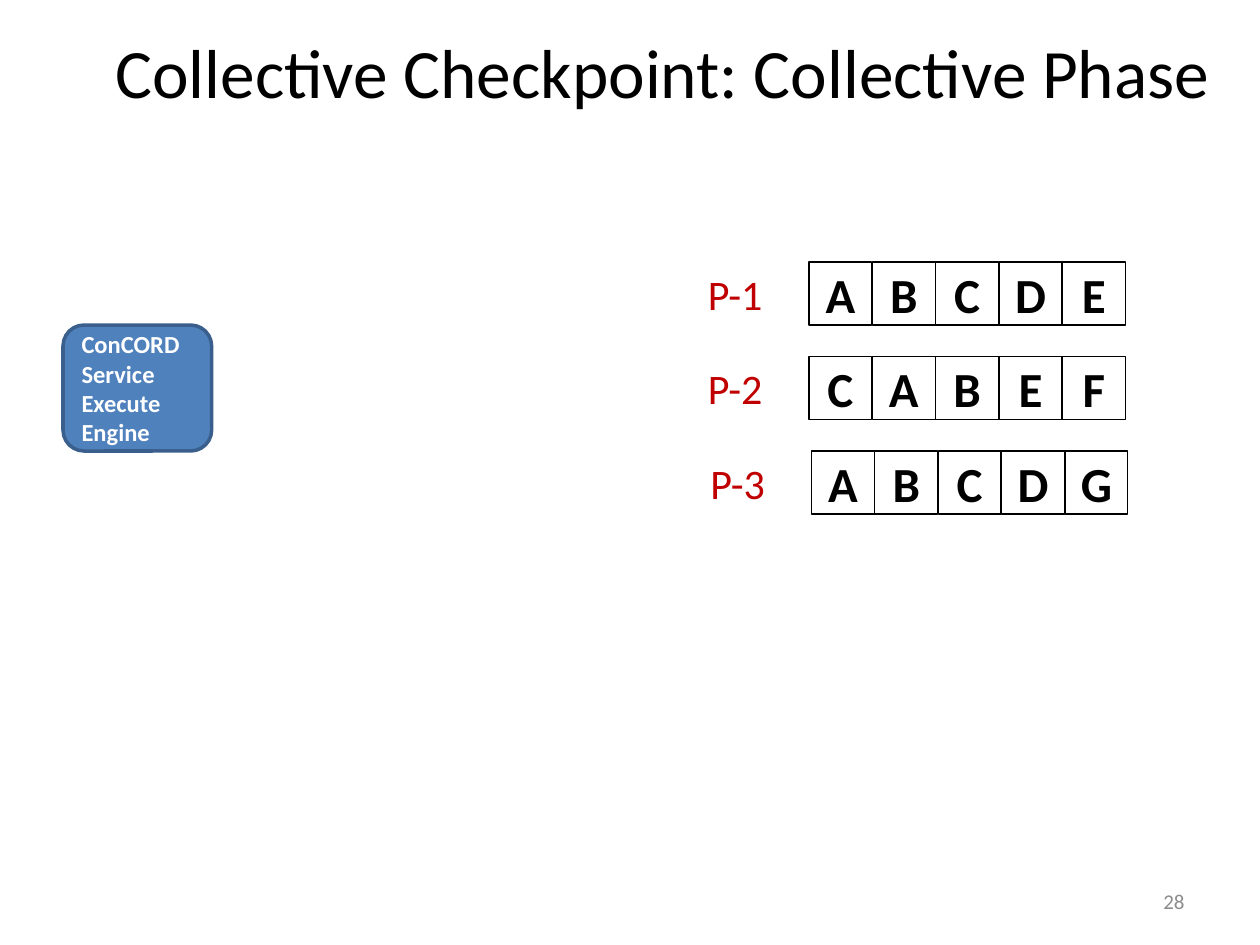
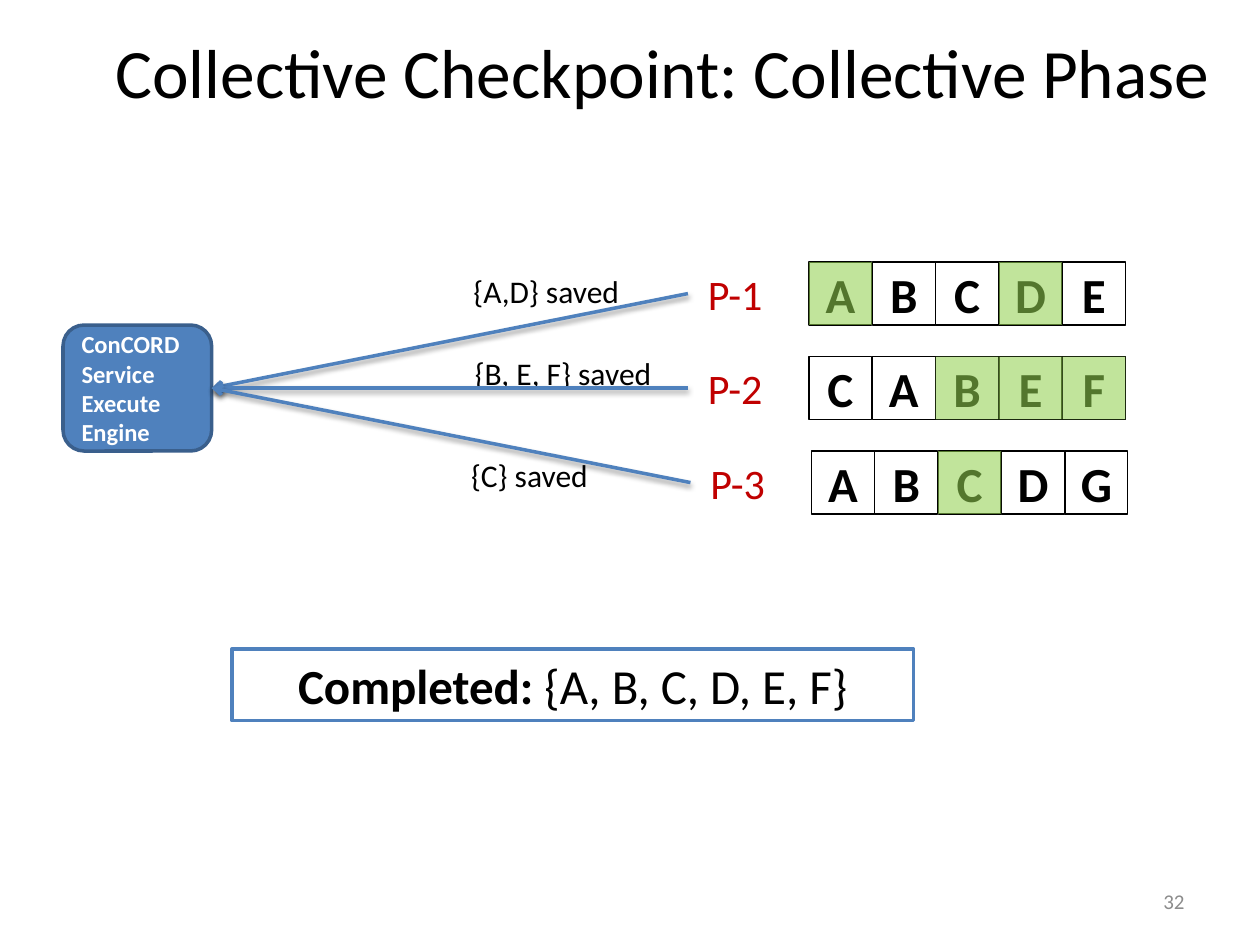
from lxml import etree
from pptx import Presentation, util as u
from pptx.dml.color import RGBColor
from pptx.enum import shapes, text
from pptx.oxml import parse_xml
from pptx.oxml.ns import nsdecls, qn

TITLE = "Collective Checkpoint: Collective Phase"
ENGINE = ["ConCORD", "Service", "Execute", "Engine"]
PROCESSES = [("P-1", "ABCDE", 0), ("P-2", "CABEF", 0), ("P-3", "ABCDG", 0.02)]
SAVED = [
    ("AD", "{A,D} saved", (3.66, 2.11, 1.37, 0.4)),
    ("BEF", "{B, E, F} saved", (3.67, 2.76, 1.62, 0.4)),
    ("C", "{C} saved", (3.64, 3.57, 1.15, 0.4)),
]
COMPLETED = [("Completed: ", True), ("{A, B, C, D, E, F}", False)]
SLIDES = [("28", [], []), ("32", SAVED, COMPLETED)]

FONT = "Calibri"
COLORS = {"black": "000000", "white": "FFFFFF", "grey": "8C8C8C", "red": "C00000",
          "blue": "4F81BD", "edge": "3A5F8C", "green": "92D050"}
CELL, PITCH = 0.5, 0.503
GRID_LEFT, GRID_TOP, ROW_STEP = 6.42, 2.08, 0.75
LABEL_LEFT, LABEL_W, LABEL_H = 5.46, 0.75, 0.33
SHADOW = (f'<a:effectLst {nsdecls("a")}><a:outerShdw blurRad="40000" dist="20000" '
          'dir="5400000" rotWithShape="0"><a:srgbClr val="000000"><a:alpha val="38000"/>'
          '</a:srgbClr></a:outerShdw></a:effectLst>')


def rgb(name):
    return RGBColor.from_string(COLORS[name])


def inches(box):
    return [u.Inches(v) for v in box]


def write(sp, lines, size, color, bold=False, align=text.PP_ALIGN.CENTER,
          anchor=text.MSO_ANCHOR.MIDDLE, wrap=True):
    tf = sp.text_frame
    tf.word_wrap = wrap
    tf.vertical_anchor = anchor
    tf.text = "\n".join(lines)
    for p in tf.paragraphs:
        p.alignment = align
        p.font.name, p.font.size, p.font.bold = FONT, u.Pt(size), bold
        p.font.color.rgb = rgb(color)


def add_box(s, box, fill=None, line=None, width=0.75, rounded=False):
    kind = shapes.MSO_SHAPE.ROUNDED_RECTANGLE if rounded else shapes.MSO_SHAPE.RECTANGLE
    sp = s.shapes.add_shape(kind, *inches(box))
    sp.shadow.inherit = False
    if fill:
        sp.fill.solid()
        sp.fill.fore_color.rgb = rgb(fill)
    else:
        sp.fill.background()
    if line:
        sp.line.color.rgb = rgb(line)
        sp.line.width = u.Pt(width)
    else:
        sp.line.fill.background()
    return sp


def add_arrow(s, engine, label):
    c = s.shapes.add_connector(shapes.MSO_CONNECTOR.STRAIGHT, 0, 0, 0, 0)
    c.begin_connect(engine, 3)
    c.end_connect(label, 1)
    c.line.color.rgb = rgb("blue")
    c.line.width = u.Pt(2)
    etree.SubElement(c.line._get_or_add_ln(), qn("a:headEnd"), type="arrow")
    c._element.spPr.append(parse_xml(SHADOW))


def cell_box(row, column):
    return (GRID_LEFT + PROCESSES[row][2] + column * PITCH,
            GRID_TOP + row * ROW_STEP, CELL, CELL)


def add_process(s, row):
    name, blocks, shift = PROCESSES[row]
    for column, block in enumerate(blocks):
        write(add_box(s, cell_box(row, column), line="black"), [block], 28, "black", True)
    top = GRID_TOP + row * ROW_STEP + (CELL - LABEL_H) / 2
    label = add_box(s, (LABEL_LEFT + shift, top, LABEL_W, LABEL_H), rounded=True)
    write(label, [name], 24, "red")
    return label


def add_saved(s, row, saved, engine, label):
    blocks, caption, box = saved
    tb = s.shapes.add_textbox(*inches(box))
    write(tb, [caption], 18, "black", align=text.PP_ALIGN.LEFT,
          anchor=text.MSO_ANCHOR.TOP, wrap=False)
    add_arrow(s, engine, label)
    for block in blocks:
        mark = add_box(s, cell_box(row, PROCESSES[row][1].index(block)), fill="green")
        color = mark._element.spPr.find(f"{qn('a:solidFill')}/{qn('a:srgbClr')}")
        etree.SubElement(color, qn("a:alpha"), val="57000")


def add_completed(s, parts):
    sp = add_box(s, (1.84, 5.15, 5.41, 0.57), "white", "blue", 2)
    write(sp, [""], 28, "black")
    for words, bold in parts:
        r = sp.text_frame.paragraphs[0].add_run()
        r.text, r.font.bold = words, bold


def add_slide(prs, number, saved, completed):
    s = prs.slides.add_slide(prs.slide_layouts[5])
    title = s.shapes.title
    title.left, title.top, title.width, title.height = inches((0.76, 0.17, 9, 0.78))
    write(title, [TITLE], 39.6, "black")
    tb = s.shapes.add_textbox(*inches((7.17, 6.95, 2.33, 0.4)))
    write(tb, [number], 12, "grey", align=text.PP_ALIGN.RIGHT)

    labels = [add_process(s, row) for row in range(len(PROCESSES))]
    engine = add_box(s, (0.5, 2.58, 1.18, 1), "blue", "edge", 2, rounded=True)
    write(engine, ENGINE, 14, "white", True, text.PP_ALIGN.LEFT)
    for row, entry in enumerate(saved):
        add_saved(s, row, entry, engine, labels[row])
    if completed:
        add_completed(s, completed)


def main():
    prs = Presentation()
    prs.slide_width, prs.slide_height = u.Inches(10), u.Inches(7.5)
    for number, saved, completed in SLIDES:
        add_slide(prs, number, saved, completed)
    prs.save("out.pptx")


if __name__ == "__main__":
    main()
